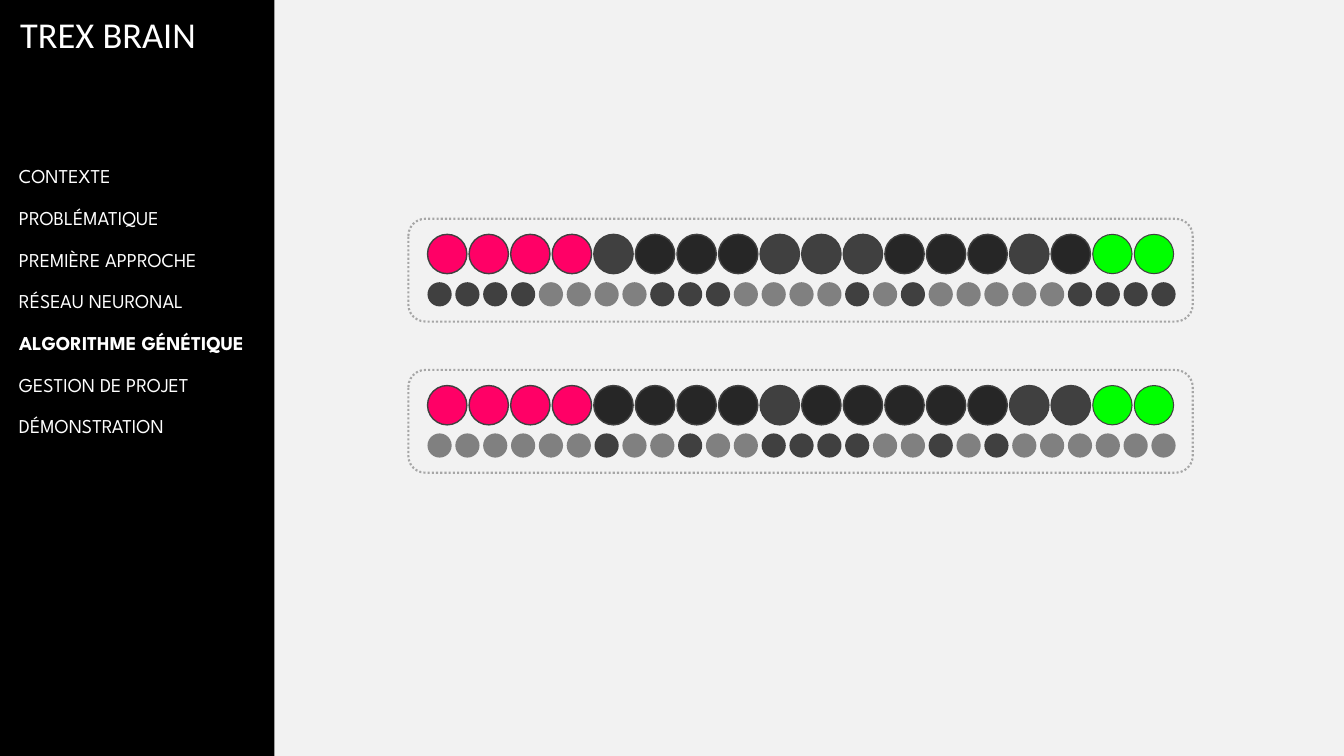
from lxml import etree
from pptx import Presentation
from pptx.dml.color import RGBColor
from pptx.enum.dml import MSO_LINE
from pptx.enum.shapes import MSO_SHAPE
from pptx.enum.text import MSO_ANCHOR, PP_ALIGN
from pptx.oxml.ns import qn
from pptx.util import Inches, Pt

RECT, ROUND_RECT, OVAL = MSO_SHAPE.RECTANGLE, MSO_SHAPE.ROUNDED_RECTANGLE, MSO_SHAPE.OVAL
SYS_DOT = MSO_LINE.ROUND_DOT
TOP, LEFT = MSO_ANCHOR.TOP, PP_ALIGN.LEFT

TITLE_ONLY = 5
BLACK, WHITE, DARK, LIGHT, BORDER = "000000", "FFFFFF", "404040", "808080", "A6A6A6"
GENE_COLOURS = {"P": "FF0066", "G": DARK, "K": "262626", "N": "00FF00"}
BIT_COLOURS = {"1": DARK, "0": LIGHT}

MENU = ["CONTEXTE", "PROBLÉMATIQUE", "PREMIÈRE APPROCHE", "RÉSEAU NEURONAL",
        "ALGORITHME GÉNÉTIQUE", "GESTION DE PROJET", "DÉMONSTRATION"]
CURRENT = "ALGORITHME GÉNÉTIQUE"
GENOMES = [
    (2.17, "PPPPGKKKGGGKKKGKNN", "111100001110000101000001111"),
    (3.67, "PPPPKKKKGKKKKKGGNN", "000000100100111100101000000"),
]


def rgb(colour):
    """Return the colour for a hex string."""
    return RGBColor.from_string(colour)


def write(sp, text, font, size, bold=False, wrap=True):
    """Put white left-aligned text in a shape."""
    tf = sp.text_frame
    tf.word_wrap = wrap
    tf.vertical_anchor = TOP
    p = tf.paragraphs[0]
    p.alignment = LEFT
    p.line_spacing = 1.0
    p.space_before = Pt(0)
    r = p.add_run()
    r.text = text
    r.font.name, r.font.size, r.font.bold = font, Pt(size), bold
    r.font.color.rgb = rgb(WHITE)


def add_shape(shapes, kind, x, y, w, h, fill=None, line=None, width=1):
    """Add a flat preset shape with an optional fill and outline."""
    sp = shapes.add_shape(kind, Inches(x), Inches(y), Inches(w), Inches(h))
    sp.shadow.inherit = False
    if fill:
        sp.fill.solid()
        sp.fill.fore_color.rgb = rgb(fill)
    else:
        sp.fill.background()
    if line:
        sp.line.color.rgb = rgb(line)
        sp.line.width = Pt(width)
    else:
        sp.line.fill.background()
    return sp


def add_panel(s):
    """Add the almost opaque white content panel."""
    sp = add_shape(s.shapes, RECT, 2.72, 0, 10.61, 7.5, WHITE)
    colour = sp.fill._xPr.find(".//" + qn("a:srgbClr"))
    etree.SubElement(colour, qn("a:alpha"), val="95000")


def add_dots(shapes, codes, colours, last_x, y, size, line=None):
    """Spread a row of circles evenly from the left edge to last_x."""
    first_x = 4.24
    pitch = (last_x - first_x) / (len(codes) - 1)
    for i, code in enumerate(codes):
        add_shape(shapes, OVAL, first_x + i * pitch, y, size, size,
                  colours[code], line, 0.75 if code == "N" else 1)


def add_genome(s, y, genes, bits):
    """Add a grouped genome: dotted frame, gene row and bit row."""
    shapes = s.shapes.add_group_shape().shapes
    frame = add_shape(shapes, ROUND_RECT, 4.05, y, 7.78, 1.02, None, BORDER, 1.5)
    frame.line.dash_style = SYS_DOT
    add_dots(shapes, genes, GENE_COLOURS, 11.25, y + 0.155, 0.39, DARK)
    add_dots(shapes, bits, BIT_COLOURS, 11.42, y + 0.63, 0.24)


def add_title(s, text):
    """Place and format the title placeholder."""
    sp = s.shapes.title
    sp.left, sp.top, sp.width, sp.height = Inches(0.1), Inches(0.07), Inches(2.58), Inches(0.54)
    write(sp, text, "Calibri", 26, wrap=False)


def add_menu(s):
    """Add the section list with the current section in bold."""
    for i, name in enumerate(MENU):
        bold = name == CURRENT
        sp = s.shapes.add_textbox(Inches(0.09), Inches(1.58 + i * 2.48 / 6),
                                  Inches(2.75 if bold else 2.57), Inches(0.34))
        write(sp, name, "League Spartan", 14, bold)


def main():
    """Build and save the slide."""
    prs = Presentation()
    prs.slide_width, prs.slide_height = Inches(13.33), Inches(7.5)
    s = prs.slides.add_slide(prs.slide_layouts[TITLE_ONLY])
    s.background.fill.solid()
    s.background.fill.fore_color.rgb = rgb(BLACK)
    add_title(s, "TREX BRAIN")
    add_panel(s)
    for y, genes, bits in GENOMES:
        add_genome(s, y, genes, bits)
    add_menu(s)
    prs.save("out.pptx")


if __name__ == "__main__":
    main()
